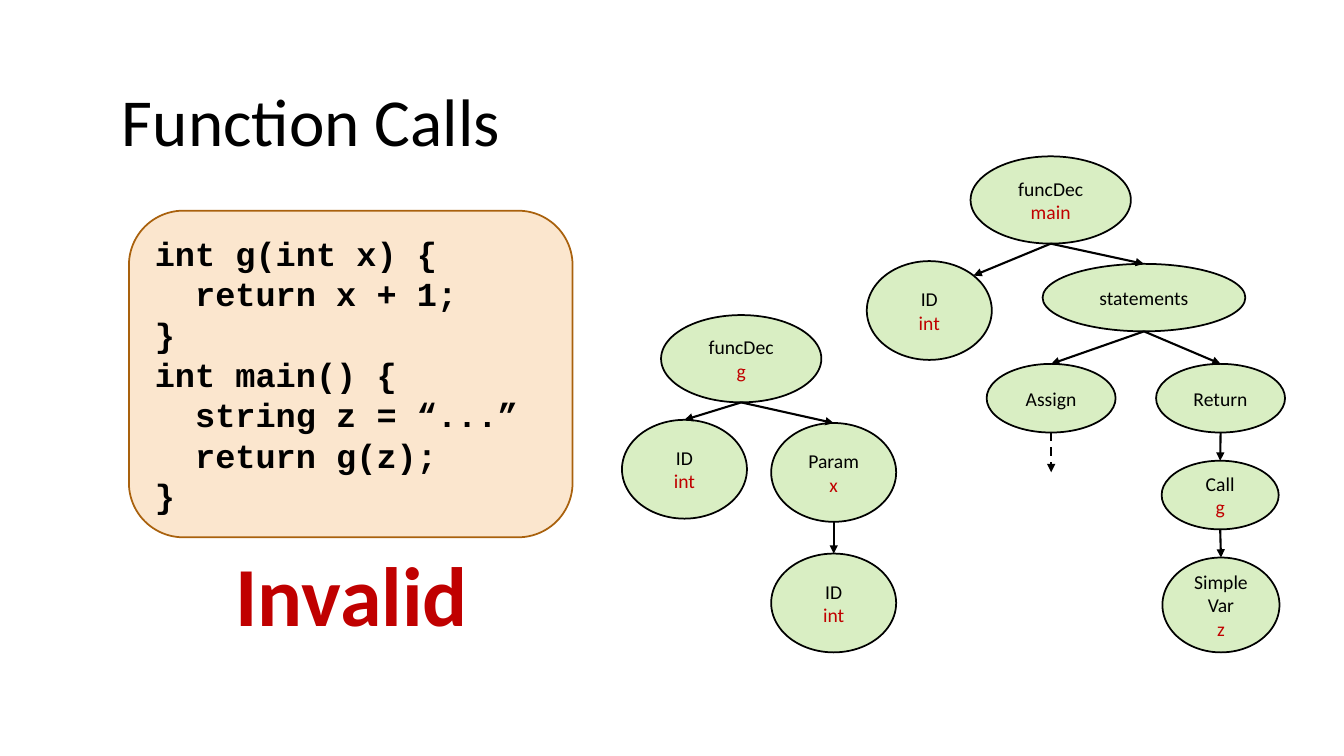
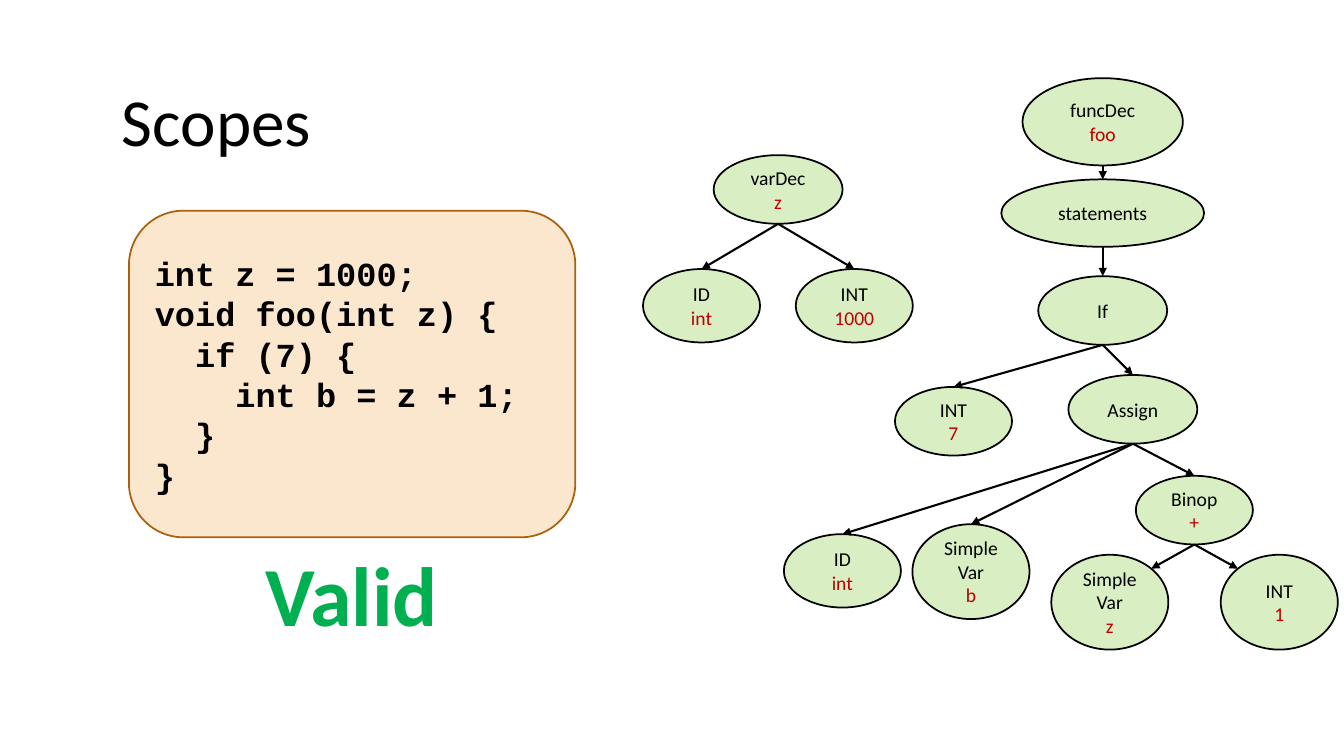
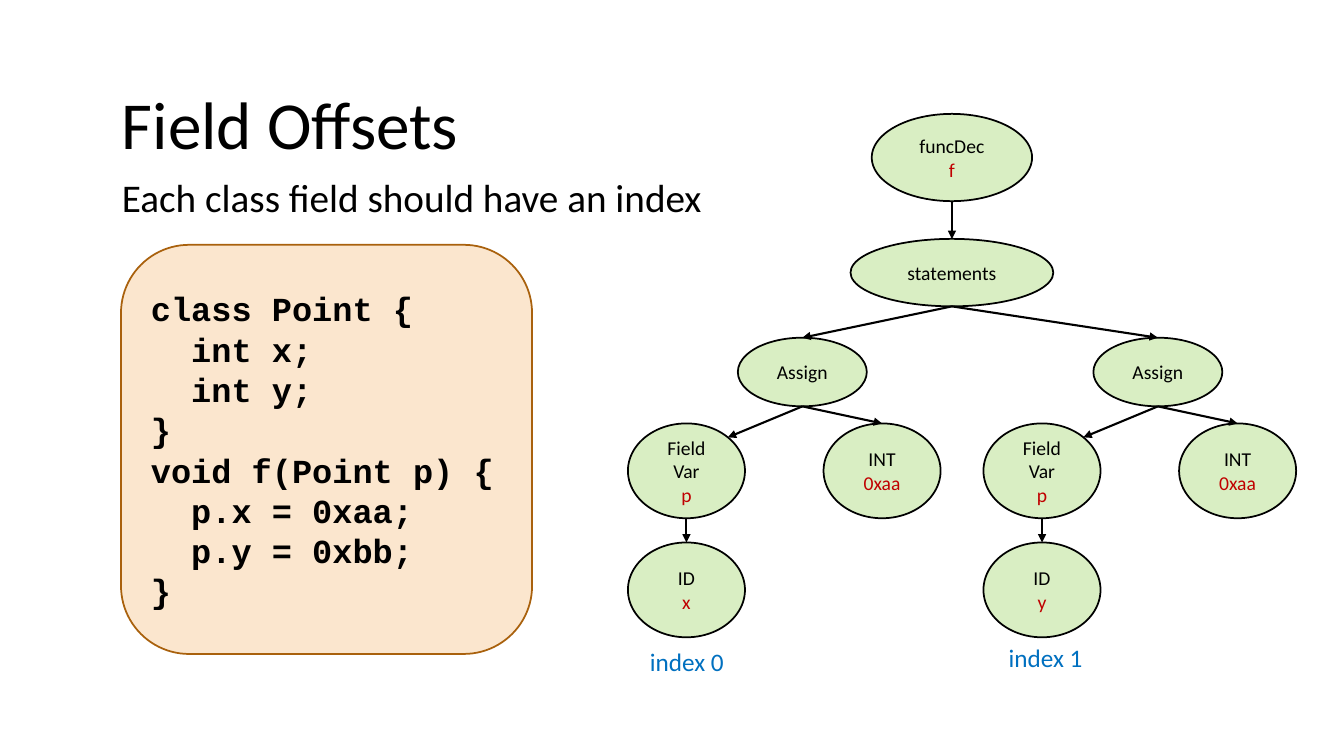
"""Build three compiler slides that pair source code with syntax trees."""
from dataclasses import dataclass
from enum import Enum
from typing import Any

import lxml.etree
import pptx
import pptx.dml.color
import pptx.enum.dml
import pptx.enum.shapes
import pptx.enum.text
import pptx.oxml.ns
import pptx.util

Cm = pptx.util.Cm
Pt = pptx.util.Pt
Rgb = pptx.dml.color.RGBColor
Form = pptx.enum.shapes.MSO_SHAPE
Align = pptx.enum.text.PP_ALIGN
Box = tuple[float, float, float, float]
qn = pptx.oxml.ns.qn


@dataclass(frozen=True)
class Theme:
    sans: str = "Calibri"
    mono: str = "Courier New"
    ink: str = "000000"
    red: str = "C00000"
    green: str = "00B050"
    blue: str = "0070C0"
    leaf: str = "92D050"
    alpha: int = 34000
    sand: str = "FBE6CE"
    brown: str = "A9610D"
    title: int = 48
    body: int = 28
    stamp: int = 60
    code: int = 24
    note: int = 18
    node: int = 14
    edge: float = 1.25
    arrow: float = 1.5


THEME = Theme()


class Size(Enum):
    FUNC = (4.04, 2.2)
    WIDE = (5.11, 1.7)
    OP = (3.25, 1.73)
    ROUND = (3.15, 2.49)
    TALL = (2.95, 2.39)
    FLAT = (2.95, 1.73)
    PAIR = (2.95, 1.85)


class Port(Enum):
    LEFT = -1
    TOP = 0
    RIGHT = 1


@dataclass(frozen=True)
class Node:
    label: str
    mark: str
    size: Size
    x: float
    y: float
    kids: tuple["Node", ...] = ()
    port: Port = Port.TOP
    stub: float = 0

    def foot(self) -> tuple[float, float]:
        return self.x, self.y + self.size.value[1]

    def head(self) -> tuple[float, float]:
        wide, high = self.size.value
        if self.port is Port.TOP:
            return self.x, self.y
        slant = 0.5 ** 0.5
        return self.x + self.port.value * wide / 2 * slant, self.y + high / 2 * (1 - slant)


@dataclass(frozen=True)
class Note:
    text: str
    box: Box
    size: int
    color: str
    bold: bool = False
    align: Any = Align.LEFT


@dataclass(frozen=True)
class Page:
    title: str
    code: str
    frame: Box
    trees: tuple[Node, ...]
    notes: tuple[Note, ...]
    top: float = 1.85
    body: str = ""


def style(para: Any, size: int, color: str, font: str = THEME.sans,
          bold: bool = False, align: Any = Align.LEFT) -> None:
    para.alignment = align
    for run in para.runs:
        run.font.name = font
        run.font.size = Pt(size)
        run.font.bold = bold
        run.font.color.rgb = Rgb.from_string(color)


def place(shape: Any, box: Box) -> None:
    shape.left, shape.top, shape.width, shape.height = (Cm(side) for side in box)


def fill_in(shape: Any, text: str, box: Box, size: int) -> None:
    place(shape, box)
    frame = shape.text_frame
    frame.text = text
    frame.auto_size = pptx.enum.text.MSO_AUTO_SIZE.NONE
    para = frame.paragraphs[0]
    para.space_before = Pt(0)
    style(para, size, THEME.ink)


def unlist(para: Any) -> None:
    props = para._p.get_or_add_pPr()
    props.set("marL", "0")
    props.set("indent", "0")
    lxml.etree.SubElement(props, qn("a:buNone"))


def add_form(slide: Any, form: Any, box: Box, fill: str, line: str) -> Any:
    shape = slide.shapes.add_shape(form, *(Cm(side) for side in box))
    shape.shadow.inherit = False
    shape.fill.solid()
    shape.fill.fore_color.rgb = Rgb.from_string(fill)
    shape.line.color.rgb = Rgb.from_string(line)
    shape.line.width = Pt(THEME.edge)
    shape.text_frame.vertical_anchor = pptx.enum.text.MSO_ANCHOR.MIDDLE
    return shape


def add_code(slide: Any, code: str, box: Box) -> None:
    shape = add_form(slide, Form.ROUNDED_RECTANGLE, box, THEME.sand, THEME.brown)
    shape.text_frame.text = code
    for para in shape.text_frame.paragraphs:
        style(para, THEME.code, THEME.ink, THEME.mono, True)


def add_note(slide: Any, note: Note) -> None:
    shape = slide.shapes.add_textbox(*(Cm(side) for side in note.box))
    shape.text_frame.word_wrap = True
    shape.text_frame.text = note.text
    style(shape.text_frame.paragraphs[0], note.size, note.color,
          bold=note.bold, align=note.align)


def add_arrow(slide: Any, start: tuple[float, float], end: tuple[float, float],
              dash: bool = False) -> None:
    ends = (Cm(side) for side in (*start, *end))
    arrow = slide.shapes.add_connector(pptx.enum.shapes.MSO_CONNECTOR.STRAIGHT, *ends)
    arrow.line.color.rgb = Rgb.from_string(THEME.ink)
    arrow.line.width = Pt(THEME.arrow)
    if dash:
        arrow.line.dash_style = pptx.enum.dml.MSO_LINE.DASH
    props = arrow.element.spPr
    lxml.etree.SubElement(props.find(qn("a:ln")), qn("a:tailEnd"), type="triangle")
    lxml.etree.SubElement(props, qn("a:effectLst"))


def add_tree(slide: Any, node: Node) -> None:
    wide, high = node.size.value
    box = (node.x - wide / 2, node.y, wide, high)
    shape = add_form(slide, Form.OVAL, box, THEME.leaf, THEME.ink)
    color = shape.element.spPr.find(qn("a:solidFill"))[0]
    lxml.etree.SubElement(color, qn("a:alpha"), val=str(THEME.alpha))
    frame = shape.text_frame
    frame.word_wrap = False
    frame.text = f"{node.label}\n{node.mark}" if node.mark else node.label
    for para in frame.paragraphs:
        style(para, THEME.node, THEME.ink, align=Align.CENTER)
    if node.mark:
        style(frame.paragraphs[-1], THEME.node, THEME.red, align=Align.CENTER)
    for kid in node.kids:
        add_tree(slide, kid)
        add_arrow(slide, node.foot(), kid.head())
    if node.stub:
        x, y = node.foot()
        add_arrow(slide, (x, y), (x, y + node.stub), True)


def add_page(deck: Any, page: Page) -> None:
    slide = deck.slides.add_slide(deck.slide_layouts[1 if page.body else 5])
    fill_in(slide.shapes.title, page.title, (2.82, page.top, 28.17, 2.31), THEME.title)
    if page.body:
        body = slide.placeholders[1]
        fill_in(body, page.body, (2.82, 4.24, 28.17, 1.45), THEME.body)
        unlist(body.text_frame.paragraphs[0])
    add_code(slide, page.code, page.frame)
    for tree in page.trees:
        add_tree(slide, tree)
    for note in page.notes:
        add_note(slide, note)


def stamp(text: str, color: str) -> Note:
    return Note(text, (4.98, 13.54, 7.77, 2.82), THEME.stamp, color, True, Align.CENTER)


def index(text: str, x: float, y: float) -> Note:
    return Note(text, (x, y, 2.64, 1.02), THEME.note, THEME.blue)


def field(name: str, x: float) -> Node:
    return Node("Assign", "", Size.OP, x, 8.51, (
        Node("Field\nVar", "p", Size.TALL, x - 2.92, 10.67, (
            Node("ID", name, Size.TALL, x - 2.92, 13.67),
        ), Port.RIGHT),
        Node("INT", "0xaa", Size.TALL, x + 2.01, 10.67),
    ))


CALLS = Page(
    "Function Calls",
    """int g(int x) {
  return x + 1;
}
int main() {
  string z = “...”
  return g(z);
}""",
    (3.25, 5.31, 11.18, 8.23),
    (
        Node("funcDec", "main", Size.FUNC, 26.48, 3.94, (
            Node("ID", "int", Size.ROUND, 23.42, 6.58, port=Port.RIGHT),
            Node("statements", "", Size.WIDE, 28.83, 6.65, (
                Node("Assign", "", Size.OP, 26.49, 9.17, stub=1),
                Node("Return", "", Size.OP, 30.76, 9.17, (
                    Node("Call", "g", Size.FLAT, 30.75, 11.61, (
                        Node("Simple\nVar", "z", Size.TALL, 30.77, 14.05),
                    )),
                )),
            )),
        )),
        Node("funcDec", "g", Size.FUNC, 18.68, 7.94, (
            Node("ID", "int", Size.ROUND, 17.25, 10.58),
            Node("Param", "x", Size.ROUND, 21.01, 10.66, (
                Node("ID", "int", Size.ROUND, 21.01, 13.95),
            )),
        )),
    ),
    (stamp("Invalid", THEME.red),),
)

SCOPES = Page(
    "Scopes",
    """int z = 1000;
void foo(int z) {
  if (7) {
    int b = z + 1;
  }
}""",
    (3.25, 5.31, 11.25, 8.23),
    (
        Node("funcDec", "foo", Size.FUNC, 27.79, 1.97, (
            Node("statements", "", Size.WIDE, 27.79, 4.52, (
                Node("If", "", Size.OP, 27.79, 6.96, (
                    Node("INT", "7", Size.FLAT, 24.03, 9.75),
                    Node("Assign", "", Size.OP, 28.55, 9.45, (
                        Node("ID", "int", Size.PAIR, 21.23, 13.46),
                        Node("Simple\nVar", "b", Size.TALL, 24.47, 13.21),
                        Node("Binop", "+", Size.FLAT, 30.1, 11.99, (
                            Node("Simple\nVar", "z", Size.TALL, 27.97, 13.98,
                                 port=Port.RIGHT),
                            Node("INT", "1", Size.TALL, 32.24, 13.98, port=Port.LEFT),
                        )),
                    )),
                )),
            )),
        )),
        Node("varDec", "z", Size.OP, 19.61, 3.91, (
            Node("ID", "int", Size.PAIR, 17.68, 6.78),
            Node("INT", "1000", Size.PAIR, 21.53, 6.78),
        )),
    ),
    (stamp("Valid", THEME.green),),
)

FIELDS = Page(
    "Field Offsets",
    """class Point {
  int x;
  int y;
}
void f(Point p) {
  p.x = 0xaa;
  p.y = 0xbb;
}""",
    (3.05, 6.17, 10.36, 10.31),
    (
        Node("funcDec", "f", Size.FUNC, 23.99, 2.87, (
            Node("statements", "", Size.WIDE, 23.99, 6.02, (
                field("x", 20.22),
                field("y", 29.18),
            )),
        )),
    ),
    (index("index 0", 16.13, 16.15), index("index 1", 25.17, 16.05)),
    1.93,
    "Each class field should have an index",
)


def main() -> None:
    deck = pptx.Presentation()
    deck.slide_width, deck.slide_height = Cm(33.87), Cm(19.05)
    for page in (CALLS, SCOPES, FIELDS):
        add_page(deck, page)
    deck.save("out.pptx")


if __name__ == "__main__":
    main()
